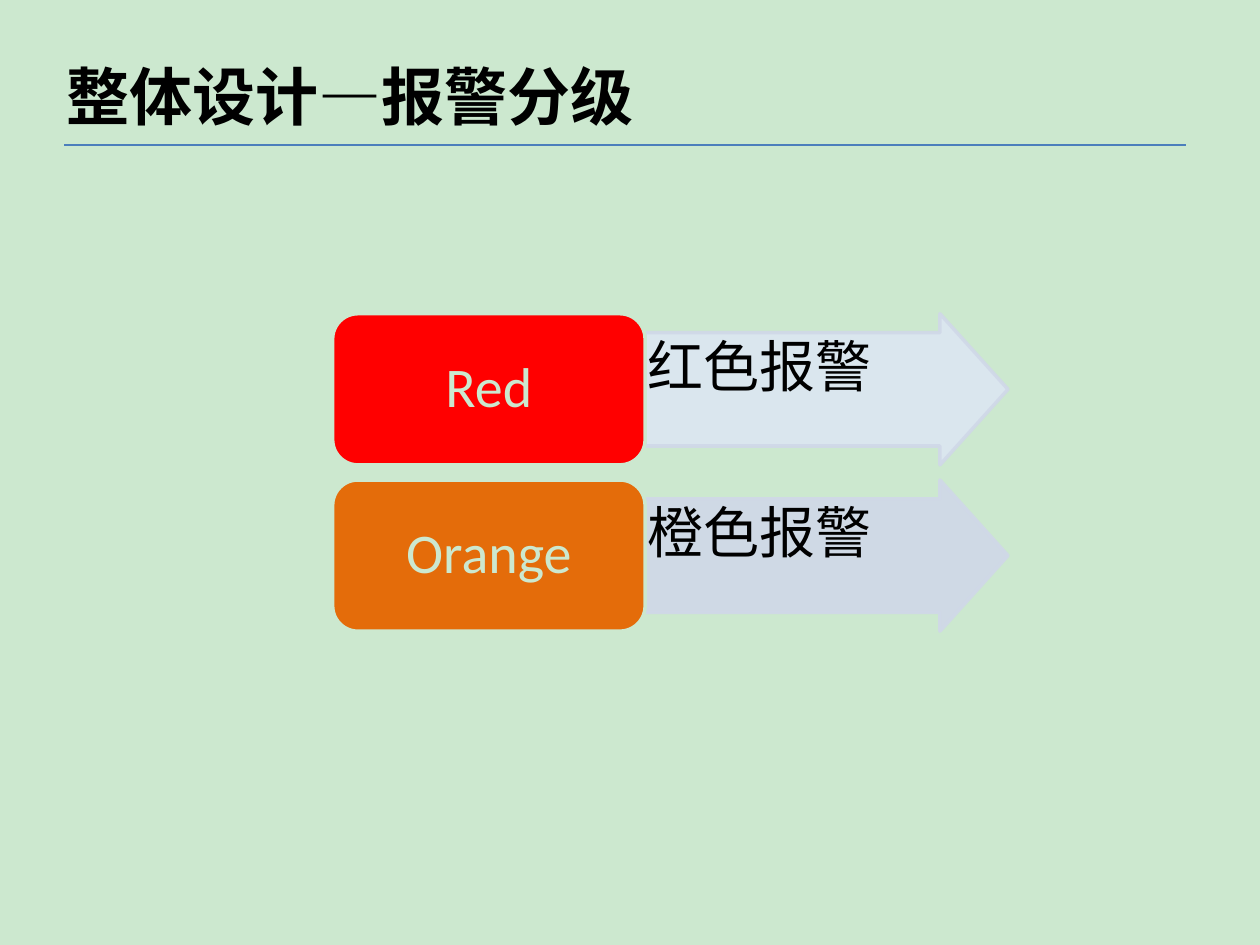
from dataclasses import dataclass

from lxml import etree
from pptx import Presentation
from pptx import util as u
from pptx.dml.color import RGBColor
from pptx.enum import shapes, text
from pptx.oxml import ns


@dataclass(frozen=True)
class Theme:
    background: str = "CCE8CF"
    ink: str = "000000"
    rule: str = "4B7EBC"
    arrow_line: str = "D0D8E8"
    latin: str = "Calibri"
    chinese: str = "Noto Sans CJK SC"
    title_size: int = 36
    label_size: int = 32


THEME = Theme()

# Level name, description, box colour, arrow colour
LEVELS = [
    ("Red", "红色报警", "FF0000", "DCE6F2"),
    ("Orange", "橙色报警", "E46C0A", "D0D8E8"),
]
BOX_LEFT, BOX_WIDTH = 2.64, 2.48
ARROW_WIDTH = 2.88
ROW_TOP, ROW_HEIGHT, ROW_STEP = 2.49, 1.2, 1.32


def rgb(value):
    return RGBColor.from_string(value)


def add_run(p, content, font, size, color, bold=False):
    r = p.add_run()
    r.text = content
    r.font.name = font
    r.font.size = u.Pt(size)
    r.font.bold = bold
    r.font.color.rgb = rgb(color)
    ea = etree.SubElement(r.font._element, ns.qn("a:ea"))
    ea.set("typeface", font)


def set_margins(tf, left, top, right, bottom):
    tf.margin_left, tf.margin_top = u.Inches(left), u.Inches(top)
    tf.margin_right, tf.margin_bottom = u.Inches(right), u.Inches(bottom)


def set_opacity(color_format, percent):
    for color in color_format._xFill.iter(ns.qn("a:srgbClr")):
        etree.SubElement(color, ns.qn("a:alpha")).set("val", str(percent * 1000))


def add_title(s, content):
    sp = s.shapes.add_textbox(u.Inches(0.43), u.Inches(0.41),
                              u.Inches(5.67), u.Inches(0.71))
    tf = sp.text_frame
    tf.word_wrap = True
    tf.auto_size = text.MSO_AUTO_SIZE.SHAPE_TO_FIT_TEXT
    add_run(tf.paragraphs[0], content, THEME.chinese, THEME.title_size,
            THEME.ink, bold=True)


def add_rule(s):
    line = s.shapes.add_connector(shapes.MSO_CONNECTOR.STRAIGHT,
                                  u.Inches(0.51), u.Inches(1.15),
                                  u.Inches(9.41), u.Inches(1.15))
    line.line.color.rgb = rgb(THEME.rule)
    line.line.width = u.Pt(1.5)
    etree.SubElement(line._element.spPr, ns.qn("a:effectLst"))


def add_block(s, kind, left, top, width, fill, line):
    sp = s.shapes.add_shape(kind, u.Inches(left), u.Inches(top),
                            u.Inches(width), u.Inches(ROW_HEIGHT))
    sp.shadow.inherit = False
    sp.fill.solid()
    sp.fill.fore_color.rgb = rgb(fill)
    sp.line.color.rgb = rgb(line)
    sp.line.width = u.Pt(2)
    sp.text_frame.word_wrap = True
    sp.text_frame.paragraphs[0].line_spacing = 0.9
    return sp


def add_arrow(s, top, content, fill):
    sp = add_block(s, shapes.MSO_SHAPE.RIGHT_ARROW, BOX_LEFT + BOX_WIDTH, top,
                   ARROW_WIDTH, fill, THEME.arrow_line)
    sp.adjustments[0] = 0.75
    sp.adjustments[1] = 0.45
    set_opacity(sp.fill.fore_color, 90)
    set_opacity(sp.line.color, 90)
    tf = sp.text_frame
    tf.vertical_anchor = text.MSO_ANCHOR.TOP
    set_margins(tf, 0.02, 0.05, 0.3, 0.05)
    p = tf.paragraphs[0]
    p.alignment = text.PP_ALIGN.LEFT
    add_run(p, content, THEME.chinese, THEME.label_size, THEME.ink)


def add_level_box(s, top, content, fill):
    sp = add_block(s, shapes.MSO_SHAPE.ROUNDED_RECTANGLE, BOX_LEFT, top,
                   BOX_WIDTH, fill, THEME.background)
    tf = sp.text_frame
    tf.vertical_anchor = text.MSO_ANCHOR.MIDDLE
    set_margins(tf, 0.14, 0.08, 0.14, 0.08)
    p = tf.paragraphs[0]
    p.alignment = text.PP_ALIGN.CENTER
    add_run(p, content, THEME.latin, THEME.label_size, THEME.background)


def main():
    prs = Presentation()
    prs.slide_width, prs.slide_height = u.Inches(10), u.Inches(7.5)
    s = prs.slides.add_slide(prs.slide_layouts[6])
    s.background.fill.solid()
    s.background.fill.fore_color.rgb = rgb(THEME.background)

    # Heading
    add_rule(s)
    add_title(s, "整体设计—报警分级")

    # Alarm levels, each arrow behind its box
    for row, (name, description, box_fill, arrow_fill) in enumerate(LEVELS):
        top = ROW_TOP + row * ROW_STEP
        add_arrow(s, top, description, arrow_fill)
        add_level_box(s, top, name, box_fill)

    prs.save("out.pptx")


if __name__ == "__main__":
    main()
